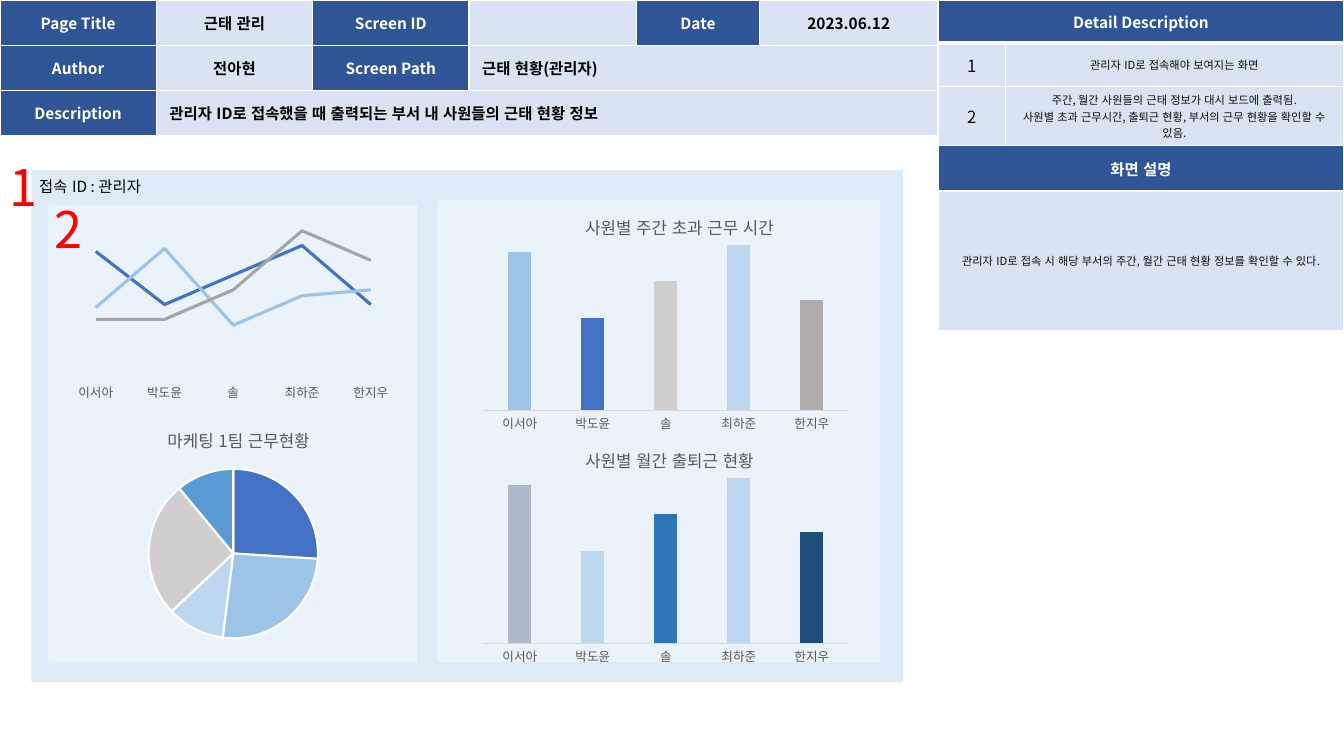
from lxml.etree import SubElement
from pptx import Presentation
from pptx.chart.data import CategoryChartData
from pptx.dml.color import RGBColor
from pptx.enum.chart import XL_CHART_TYPE, XL_TICK_LABEL_POSITION, XL_TICK_MARK
from pptx.enum.lang import MSO_LANGUAGE_ID
from pptx.enum.shapes import MSO_SHAPE
from pptx.enum.text import MSO_ANCHOR, PP_ALIGN
from pptx.oxml import parse_xml
from pptx.oxml.ns import nsdecls, qn
from pptx.util import Cm, Pt

FONT = "Noto Sans CJK KR"
NAVY, PALE, WHITE, BLACK, GREY = "2F5597", "DAE3F3", "FFFFFF", "000000", "595959"
INK, RED, RULE = "0D0D0D", "FF0000", "D9D9D9"
EMPLOYEES = ["이서아", "박도윤", "솔", "최하준", "한지우"]
ATTENDANCE = [96, 56, 78, 100, 67]


def rgb(color):
    return RGBColor.from_string(color)


def box_cm(*lengths):
    return [Cm(length) for length in lengths]


def style_font(font, size, color=BLACK, bold=False):
    font.size, font.bold = Pt(size), bold
    font.color.rgb = rgb(color)
    font.name = FONT
    font.language_id = MSO_LANGUAGE_ID.KOREAN
    SubElement(font._rPr, qn("a:ea"), typeface=FONT)


def write(frame, text, size=11, color=BLACK, bold=False, align=PP_ALIGN.LEFT):
    frame.word_wrap = True
    for index, line in enumerate(text.split("\n")):
        paragraph = frame.add_paragraph() if index else frame.paragraphs[0]
        paragraph.alignment = align
        run = paragraph.add_run()
        run.text = line
        style_font(run.font, size, color, bold)


def add_label(slide, box, text, **text_format):
    write(slide.shapes.add_textbox(*box_cm(*box)).text_frame, text, **text_format)


def add_panel(slide, box, color, opacity=100):
    panel = slide.shapes.add_shape(MSO_SHAPE.RECTANGLE, *box_cm(*box))
    panel.shadow.inherit = False
    panel.line.fill.background()
    panel.fill.solid()
    panel.fill.fore_color.rgb = rgb(color)
    if opacity < 100:
        for tint in panel._element.spPr.iter(qn("a:srgbClr")):
            SubElement(tint, qn("a:alpha"), val=str(opacity * 1000))


# ---- Tables ----
def add_grid(slide, left, top, widths, heights):
    grid = slide.shapes.add_table(
        len(heights), len(widths), *box_cm(left, top, sum(widths), sum(heights))).table
    grid.first_row = grid.horz_banding = False
    for column, width in zip(grid.columns, widths):
        column.width = Cm(width)
    for row, height in zip(grid.rows, heights):
        row.height = Cm(height)
    return grid


def fill_cell(cell, text, fill, bottom=1, **text_format):
    properties = cell._tc.get_or_add_tcPr()
    for side in "LRTB":
        width = bottom if side == "B" else 1
        properties.append(parse_xml(
            f'<a:ln{side} {nsdecls("a")} w="{Pt(width)}"><a:solidFill>'
            f'<a:srgbClr val="{WHITE}"/></a:solidFill></a:ln{side}>'))
    cell.fill.solid()
    cell.fill.fore_color.rgb = rgb(fill)
    cell.vertical_anchor = MSO_ANCHOR.MIDDLE
    cell.margin_left = cell.margin_right = Cm(0.33)
    cell.margin_top = cell.margin_bottom = Cm(0.13)
    if text:
        write(cell.text_frame, text, **text_format)


def page_header(slide, left, top):
    rows = [
        ["Page Title", "근태 관리", "Screen ID", "", "Date", "2023.06.12"],
        ["Author", "전아현", "Screen Path", "근태 현황(관리자)", "", ""],
        ["Description", "관리자 ID로 접속했을 때 출력되는 부서 내 사원들의 근태 현황 정보",
         "", "", "", ""],
    ]
    merged_from = {1: 3, 2: 1}
    headings = {"Page Title", "Screen ID", "Date", "Author", "Screen Path", "Description"}
    grid = add_grid(slide, left, top, [3.94, 3.94, 3.94, 4.22, 3.1, 4.5], [1.14] * 3)
    for r, row in enumerate(rows):
        for c, text in enumerate(row):
            heading = text in headings
            fill_cell(grid.cell(r, c), text, NAVY if heading else PALE,
                      color=WHITE if heading else BLACK, bold=True,
                      align=PP_ALIGN.LEFT if merged_from.get(r) == c else PP_ALIGN.CENTER)
    for r, c in merged_from.items():
        grid.cell(r, c).merge(grid.cell(r, 5))


def detail_description(slide, left, top):
    heading = dict(size=11, color=WHITE, bold=True)
    number, note = dict(size=12, color=INK), dict(size=8, color=INK)
    rows = [
        [("Detail Description", NAVY, dict(heading, bottom=3))],
        [("1", PALE, number), ("관리자 ID로 접속해야 보여지는 화면", PALE, note)],
        [("2", PALE, number),
         ("주간, 월간 사원들의 근태 정보가 대시 보드에 출력됨.\n"
          "사원별 초과 근무시간, 출퇴근 현황, 부서의 근무 현황을 확인할 수 있음.", PALE, note)],
        [("화면 설명", NAVY, heading)],
        [("관리자 ID로 접속 시 해당 부서의 주간, 월간 근태 현황 정보를 확인할 수 있다.",
          PALE, note)],
    ]
    grid = add_grid(slide, left, top, [1.68, 8.53], [1.09, 1.09, 1.09, 1.14, 3.51])
    for r, row in enumerate(rows):
        if len(row) == 1:
            text, fill, text_format = row[0]
            row.append(("", fill, text_format))
            grid.cell(r, 0).merge(grid.cell(r, 1))
        for c, (text, fill, text_format) in enumerate(row):
            fill_cell(grid.cell(r, c), text, fill, align=PP_ALIGN.CENTER, **text_format)


# ---- Charts ----
def manual_layout(x, y, w=None, h=None):
    sized = w is not None
    target = '<c:layoutTarget val="inner"/>' if sized else ""
    size = f'<c:w val="{w}"/><c:h val="{h}"/>' if sized else ""
    return parse_xml(
        f'<c:layout {nsdecls("c")}><c:manualLayout>{target}<c:xMode val="edge"/>'
        f'<c:yMode val="edge"/><c:x val="{x}"/><c:y val="{y}"/>{size}'
        f'</c:manualLayout></c:layout>')


def add_graph(slide, kind, box, categories, series, plot_box, title=None, title_at=None):
    data = CategoryChartData()
    data.categories = categories
    for index, values in enumerate(series, 1):
        data.add_series(f"Series {index}", values)
    chart = slide.shapes.add_chart(kind, *box_cm(*box), data).chart
    chart.has_legend = False
    style_font(chart.font, 10)
    chart.has_title = title is not None
    if title:
        write(chart.chart_title.text_frame, title, size=12, color=GREY, align=PP_ALIGN.CENTER)
        heading = chart.chart_title._element
        for layout in heading.findall(qn("c:layout")):
            heading.remove(layout)
        heading.find(qn("c:tx")).addnext(manual_layout(*title_at))
    # Clear background and fixed plot position
    space = chart._chartSpace
    space.chart.addnext(parse_xml(f'<c:spPr {nsdecls("c", "a")}><a:noFill/>'
                                  '<a:ln><a:noFill/></a:ln></c:spPr>'))
    area = space.chart.plotArea
    for layout in area.findall(qn("c:layout")):
        area.remove(layout)
    area.insert(0, manual_layout(*plot_box))
    return chart


def format_axes(chart, line_color=None):
    values, names = chart.value_axis, chart.category_axis
    values.minimum_scale, values.maximum_scale = 0, 120
    values.has_major_gridlines = values.visible = False
    names.major_tick_mark = names.minor_tick_mark = XL_TICK_MARK.NONE
    names.tick_label_position = XL_TICK_LABEL_POSITION.NEXT_TO_AXIS
    style_font(names.tick_labels.font, 9, GREY)
    if line_color:
        names.format.line.color.rgb = rgb(line_color)
        names.format.line.width = Pt(0.75)
    else:
        names.format.line.fill.background()


def color_points(series, colors):
    for index, color in enumerate(colors):
        fill = series.points[index].format.fill
        fill.solid()
        fill.fore_color.rgb = rgb(color)


def employee_columns(slide, left, top, title, colors):
    chart = add_graph(slide, XL_CHART_TYPE.COLUMN_CLUSTERED, (left, top, 9.58, 6.58),
                      EMPLOYEES, [ATTENDANCE], (0.02, 0.14, 0.96, 0.76), title, (0.28, 0.13))
    format_axes(chart, RULE)
    plot = chart.plots[0]
    plot.gap_width, plot.overlap, plot.vary_by_categories = 219, -27, False
    color_points(plot.series[0], colors)


def employee_lines(slide, left, top):
    lines = {"4472C4": [86, 50, 70, 90, 50], "9DC3E6": [48, 88, 36, 56, 60],
             "A5A5A5": [40, 40, 60, 100, 80]}
    chart = add_graph(slide, XL_CHART_TYPE.LINE, (left, top, 9.42, 6.12),
                      EMPLOYEES, lines.values(), (0.04, 0.09, 0.92, 0.73))
    format_axes(chart)
    chart.plots[0].vary_by_categories = False
    for series, color in zip(chart.plots[0].series, lines):
        series.smooth = False
        series.format.line.color.rgb = rgb(color)
        series.format.line.width = Pt(2.25)


def team_pie(slide, left, top):
    chart = add_graph(slide, XL_CHART_TYPE.PIE, (left, top, 7.24, 6.1), list("12345"),
                      [[26, 26, 11, 26, 11]], (0.2, 0.25, 0.6, 0.7),
                      "마케팅 1팀 근무현황", (0.26, 0.06))
    series = chart.plots[0].series[0]
    color_points(series, ["4472C4", "9DC3E6", "BDD7EE", "D0CECE", "5B9BD5"])
    for index in range(5):
        edge = series.points[index].format.line
        edge.color.rgb = rgb(WHITE)
        edge.width = Pt(1.5)


# ---- Dashboard ----
def dashboard(slide, left, top, width, height):
    add_panel(slide, (left, top, width, height), "DEEBF7")
    add_panel(slide, (left + 0.43, top + 0.87, 9.3, 11.56), WHITE, opacity=38)
    add_panel(slide, (left + 10.23, top + 0.76, 11.15, 11.63), WHITE, opacity=38)
    employee_columns(slide, left + 11.2, top + 0.13, "사원별 주간 초과 근무 시간",
                     ["9DC3E6", "4472C4", "D0CECE", "BDD7EE", "AFABAB"])
    employee_lines(slide, left + 0.38, top + 0.23)
    add_label(slide, (left - 0.05, top + 0.05, 10.62, 0.74), "접속 ID : 관리자")
    for number, x, y in [("1", -0.79, -0.48), ("2", 0.33, 0.59)]:
        add_label(slide, (left + x, top + y, 1.63, 1.8), number, size=36, color=RED)
    team_pie(slide, left + 1.47, top + 6)
    employee_columns(slide, left + 11.2, top + 6, "사원별 월간 출퇴근 현황",
                     ["ADB9CA", "BDD7EE", "2E75B6", "BDD7EE", "1F4E79"])


def main():
    deck = Presentation()
    deck.slide_width, deck.slide_height = Cm(33.87), Cm(19.05)
    slide = deck.slides.add_slide(deck.slide_layouts[6])
    page_header(slide, 0, 0)
    detail_description(slide, 23.65, 0)
    dashboard(slide, 0.79, 4.29, 21.97, 12.9)
    deck.save("out.pptx")


if __name__ == "__main__":
    main()
